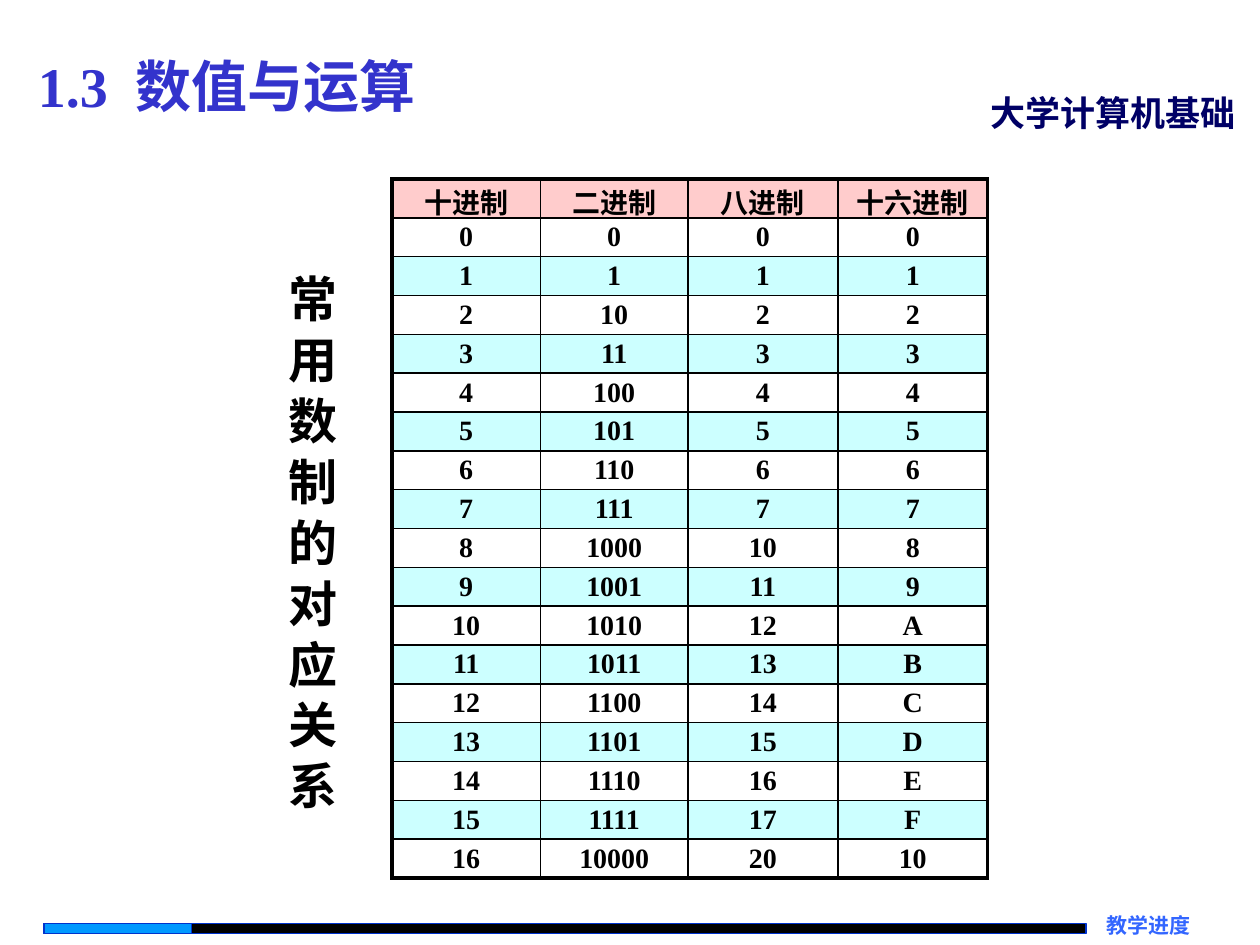
from lxml import etree
from pptx import Presentation
from pptx.dml.color import RGBColor
from pptx.enum.shapes import MSO_SHAPE
from pptx.enum.text import MSO_ANCHOR, MSO_AUTO_SIZE, PP_ALIGN
from pptx.oxml.ns import qn
from pptx.util import Inches, Pt

RECT = MSO_SHAPE.RECTANGLE
TOP, MIDDLE = MSO_ANCHOR.TOP, MSO_ANCHOR.MIDDLE
LEFT, CENTER, RIGHT = PP_ALIGN.LEFT, PP_ALIGN.CENTER, PP_ALIGN.RIGHT
GROW, FIXED = MSO_AUTO_SIZE.SHAPE_TO_FIT_TEXT, MSO_AUTO_SIZE.NONE

BLACK = RGBColor(0, 0, 0)
INDIGO = RGBColor(0x33, 0x33, 0xCC)
NAVY = RGBColor(0, 0, 0x66)
SKY = RGBColor(0x33, 0x66, 0xFF)
EDGE = RGBColor(0, 0x33, 0xCC)
AZURE = RGBColor(0, 0x99, 0xFF)
PINK = RGBColor(0xFF, 0xCC, 0xCC)
CYAN = RGBColor(0xCC, 0xFF, 0xFF)
FONT = "Times New Roman"

TITLE = ("1.3", " ", "数值与运算")
COURSE = "大学计算机基础"
PROGRESS = "教学进度"
CAPTION = "常 用 数 制 的 对 应 关 系"
HEADS = ("十进制", "二进制", "八进制", "十六进制")
BASES = ("d", "b", "o", "X")
ROWS = [HEADS] + [[format(n, base) for base in BASES] for n in range(17)]

TABLE = (3.11, 1.42, 4.72, 5.55)
COLS = (1.18, 1.17, 1.19, 1.19)
THIN, THICK = 1, 2.25
BARS = [((0.35, 7.33, 8.27, 0.08), BLACK), ((0.35, 7.33, 1.17, 0.08), AZURE)]


def style(para, size, color, align=LEFT):
    para.alignment = align
    for run in para.runs:
        for key, value in dict(name=FONT, size=Pt(size), bold=True).items():
            setattr(run.font, key, value)
        run.font.color.rgb = color


def place(shape, box):
    for key, value in zip(("left", "top", "width", "height"), box):
        setattr(shape, key, Inches(value))


def write(slide, box, text, size, color, align=LEFT, **frame):
    area = slide.shapes.add_textbox(*map(Inches, box)).text_frame
    for key, value in (dict(word_wrap=True, auto_size=GROW) | frame).items():
        setattr(area, key, value)
    area.text = text
    style(area.paragraphs[0], size, color, align)
    return area


def border(cell, widths):
    """Draw the left, right, top and bottom lines of a cell, in points."""
    props = cell._tc.get_or_add_tcPr()
    for side, width in zip("LRTB", widths):
        line = etree.SubElement(props, qn(f"a:ln{side}"), w=str(Pt(width)))
        fill = etree.SubElement(line, qn("a:solidFill"))
        etree.SubElement(fill, qn("a:srgbClr"), val=str(BLACK))


def add_title(slide):
    title = slide.shapes.title
    place(title, (0.2, 0.36, 4.57, 0.63))
    area = title.text_frame
    for key, value in dict(word_wrap=True, auto_size=GROW,
                           vertical_anchor=TOP).items():
        setattr(area, key, value)
    para = area.paragraphs[0]
    for part in TITLE:
        para.add_run().text = part
    style(para, 32, INDIGO)
    # Widen the gap after the section number
    para.runs[1].font._element.set("spc", "800")


def add_bars(slide):
    for box, color in BARS:
        bar = slide.shapes.add_shape(RECT, *map(Inches, box))
        bar.shadow.inherit = False
        bar.fill.solid()
        bar.fill.fore_color.rgb = color
        bar.line.color.rgb = EDGE
        bar.line.width = Pt(0.75)


def add_grid(slide):
    frame = slide.shapes.add_table(len(ROWS), len(COLS), *map(Inches, TABLE))
    table = frame.table
    table.first_row = table.horz_banding = False
    for col, width in zip(table.columns, COLS):
        col.width = Inches(width)
    last, end = len(ROWS) - 1, len(COLS) - 1
    for i, row in enumerate(ROWS):
        table.rows[i].height = Inches(TABLE[3] / len(ROWS))
        for j, text in enumerate(row):
            cell = table.cell(i, j)
            cell.text = text
            cell.vertical_anchor = MIDDLE
            cell.margin_top = cell.margin_bottom = Inches(0.02)
            style(cell.text_frame.paragraphs[0], 16, BLACK, CENTER)
            outer = (j == 0, j == end, i == 0, i == last)
            border(cell, [THICK if edge else THIN for edge in outer])
            if i and i % 2:
                cell.fill.background()
            else:
                cell.fill.solid()
                cell.fill.fore_color.rgb = CYAN if i else PINK


def main():
    deck = Presentation()
    deck.slide_width, deck.slide_height = Inches(10), Inches(7.5)
    slide = deck.slides.add_slide(deck.slide_layouts[5])
    add_title(slide)
    add_bars(slide)
    flush = dict.fromkeys(
        ("margin_left", "margin_right", "margin_top", "margin_bottom"), 0)
    write(slide, (8.62, 7.24, 0.83, 0.21), PROGRESS, 12, SKY, RIGHT,
          word_wrap=False, auto_size=FIXED, **flush)
    write(slide, (7.76, 0.68, 2.24, 0.43), COURSE, 20, NAVY)
    add_grid(slide)
    area = write(slide, (2.08, 2.08, 0.67, 4.67), CAPTION, 28, BLACK)
    area._txBody.bodyPr.set("vert", "eaVert")
    deck.save("out.pptx")


if __name__ == "__main__":
    main()
